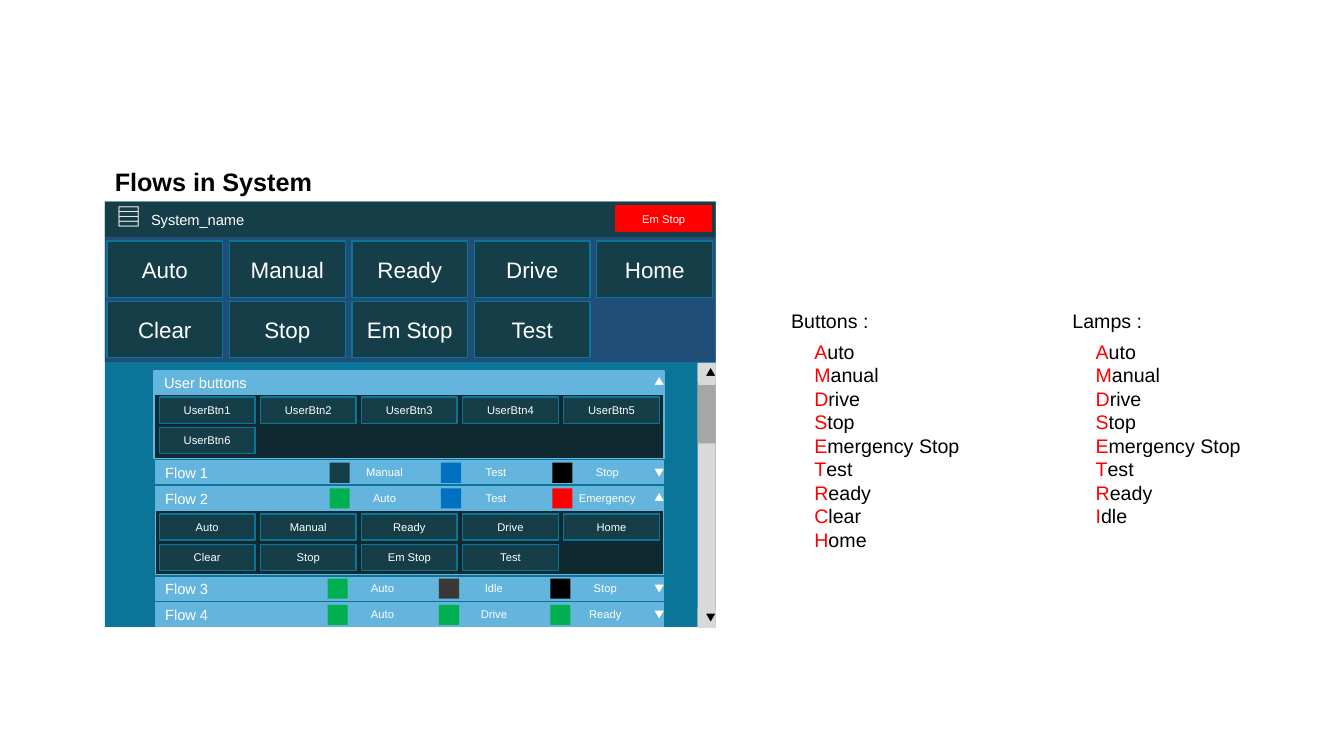
"""Build the slide that shows the flows of a system on an operator panel."""
import dataclasses
import typing

import lxml.etree
import pptx
import pptx.dml.color
import pptx.enum.shapes
import pptx.enum.text
import pptx.oxml.ns
import pptx.util

CELL = pptx.util.Inches(0.1)
COLS, ROWS = 133.33, 75
ALIGN = pptx.enum.text.PP_ALIGN
ANCHOR = pptx.enum.text.MSO_ANCHOR


@dataclasses.dataclass(frozen=True)
class Theme:
    """Colours, fonts and type sizes of the slide."""
    ink: str = "000000"
    white: str = "FFFFFF"
    red: str = "FF0000"
    green: str = "00B050"
    blue: str = "0070C0"
    grey: str = "3B3838"
    teal: str = "0B7499"
    button: str = "163E48"
    band: str = "1F4E79"
    header: str = "63B5DD"
    tray: str = "0E2A30"
    track: str = "D9D9D9"
    thumb: str = "A6A6A6"
    font: str = "Arial"
    symbols: str = "Noto Sans CJK KR"
    title: float = 18
    large: float = 16
    body: float = 14
    row: float = 10.5
    small: float = 8
    arrow: float = 7


T = Theme()


class Box(typing.NamedTuple):
    """A place on the grid, in columns and rows."""
    col: float
    row: float
    wide: float
    high: float

    def emu(self) -> list[int]:
        """Return the place in slide units."""
        return [round(v * CELL) for v in self]


class Style(typing.NamedTuple):
    """The look of a text."""
    size: float
    color: str = T.white
    font: str = T.font
    bold: bool = False
    align: typing.Any = ALIGN.CENTER


@dataclasses.dataclass(frozen=True)
class ButtonGrid:
    """Buttons in rows of five."""
    first: Box
    col_step: float
    row_step: float
    size: float
    names: list[str]


@dataclasses.dataclass(frozen=True)
class Flow:
    """A flow row with its lamps, each a name and a colour."""
    name: str
    row: float
    status_row: float
    lamp_col: float
    arrow: str
    lamps: list[tuple[str, str]]


BUTTON, ROW = Style(T.small), Style(T.row, align=ALIGN.LEFT)
BODY = Style(T.body, T.ink, align=ALIGN.LEFT)
TITLE = Style(T.title, T.ink, bold=True, align=ALIGN.LEFT)
ARROW = Style(T.arrow, font=T.symbols)
COMMANDS = ["Auto", "Manual", "Ready", "Drive", "Home", "Clear", "Stop", "Em Stop", "Test"]

MAIN_GRID = ButtonGrid(Box(10.6, 23.9, 11.5, 5.6), 12.15, 6, T.large, COMMANDS)
USER_GRID = ButtonGrid(Box(15.8, 39.4, 9.5, 2.6), 10.03, 3, T.small,
                       [f"UserBtn{n}" for n in range(1, 7)])
FLOW_GRID = ButtonGrid(Box(15.8, 51, 9.5, 2.6), 10.03, 3, T.small, COMMANDS)

FLOWS = [
    Flow("Flow 1", 45.7, 45.7, 32.7, "▼",
         [("Manual", T.button), ("Test", T.blue), ("Stop", T.ink)]),
    Flow("Flow 2", 48.3, 48.25, 32.7, "▲",
         [("Auto", T.green), ("Test", T.blue), ("Emergency", T.red)]),
    Flow("Flow 3", 57.3, 57.2, 32.5, "▼",
         [("Auto", T.green), ("Idle", T.grey), ("Stop", T.ink)]),
    Flow("Flow 4", 59.8, 59.8, 32.5, "▼",
         [("Auto", T.green), ("Drive", T.green), ("Ready", T.green)]),
]

SHARED = ["Auto", "Manual", "Drive", "Stop", "Emergency Stop", "Test", "Ready"]
LEGENDS = [
    (77.5, "Buttons :", Box(79.8, 33.2, 17, 22.2), SHARED + ["Clear", "Home"]),
    (105.4, "Lamps :", Box(107.7, 33.2, 16.5, 19.9), SHARED + ["Idle"]),
]


def rgb(color: str) -> pptx.dml.color.RGBColor:
    """Turn a hex string into a colour."""
    return pptx.dml.color.RGBColor.from_string(color)


def add_run(p: typing.Any, text: str, style: Style) -> None:
    """Add a formatted run to a paragraph."""
    r = p.add_run()
    r.text = text
    fmt = {"name": style.font, "size": pptx.util.Pt(style.size), "bold": style.bold}
    for key, value in fmt.items():
        setattr(r.font, key, value)
    r.font.color.rgb = rgb(style.color)
    ea = lxml.etree.SubElement(r.font._element, pptx.oxml.ns.qn("a:ea"))
    ea.set("typeface", style.font)


def set_frame(sp: typing.Any, anchor: typing.Any, wrap: bool, align: typing.Any) -> typing.Any:
    """Format the text frame and return it."""
    tf = sp.text_frame
    for key, value in {"word_wrap": wrap, "vertical_anchor": anchor}.items():
        setattr(tf, key, value)
    tf.paragraphs[0].alignment = align
    return tf


def add_rect(shapes: typing.Any, box: Box, fill: str, line: str = "",
             text: str = "", style: Style = BUTTON) -> None:
    """Draw a rectangle with an optional line and text."""
    sp = shapes.add_shape(pptx.enum.shapes.MSO_SHAPE.RECTANGLE, *box.emu())
    sp.shadow.inherit = False
    sp.fill.solid()
    sp.fill.fore_color.rgb = rgb(fill)
    if line:
        sp.line.color.rgb = rgb(line)
        sp.line.width = pptx.util.Pt(1)
    else:
        sp.line.fill.background()
    if text:
        tf = set_frame(sp, ANCHOR.MIDDLE, True, style.align)
        add_run(tf.paragraphs[0], text, style)


def add_text(shapes: typing.Any, box: Box, text: str, style: Style,
             anchor: typing.Any = ANCHOR.TOP, wrap: bool = True) -> None:
    """Draw a one-line text box."""
    tf = set_frame(shapes.add_textbox(*box.emu()), anchor, wrap, style.align)
    add_run(tf.paragraphs[0], text, style)


def add_buttons(shapes: typing.Any, grid: ButtonGrid) -> None:
    """Draw a group of buttons in rows of five."""
    group = shapes.add_group_shape().shapes
    for i, name in enumerate(grid.names):
        box = grid.first._replace(col=grid.first.col + i % 5 * grid.col_step,
                                  row=grid.first.row + i // 5 * grid.row_step)
        add_rect(group, box, T.button, T.teal, name, Style(grid.size))


def add_flow(shapes: typing.Any, flow: Flow) -> None:
    """Draw a flow row with its lamps and its arrow."""
    add_rect(shapes, Box(15.4, flow.row, 50.4, 2.3), T.header, T.header, flow.name, ROW)
    for i, (name, color) in enumerate(flow.lamps):
        col = flow.lamp_col + i * 11.05
        group = shapes.add_group_shape().shapes
        add_rect(group, Box(col, flow.status_row + 0.2, 2, 2), color)
        add_text(group, Box(col + 1.5, flow.status_row, 7.9, 2.4), name, BUTTON)
    add_text(shapes, Box(64.1, flow.status_row + 0.2, 1.8, 1.9), flow.arrow, ARROW, ANCHOR.MIDDLE)


def add_panel(shapes: typing.Any) -> None:
    """Draw the operator panel."""
    add_rect(shapes, Box(10.4, 20, 60.6, 42.2), T.teal)
    add_rect(shapes, Box(10.4, 20, 60.6, 3.5), T.button)
    add_rect(shapes, Box(14, 20.1, 12.4, 3.3), T.button, "", "System_name", ROW)
    add_text(shapes, Box(10.6, 20.1, 3.1, 2.8), "▤", Style(T.title, font=T.symbols), ANCHOR.MIDDLE)
    add_rect(shapes, Box(61.1, 20.4, 9.5, 2.6), T.red, T.red, "Em Stop")
    add_rect(shapes, Box(10.4, 23.5, 60.6, 12.4), T.band)
    add_rect(shapes, Box(15.3, 36.8, 50.6, 2.3), T.header, T.header, "User buttons", ROW)
    add_text(shapes, Box(64.1, 36.9, 1.8, 1.9), "▲", ARROW, ANCHOR.MIDDLE)
    add_rect(shapes, Box(15.3, 39.1, 50.6, 6.4), T.tray, T.header)
    add_rect(shapes, Box(15.4, 50.6, 50.4, 6.4), T.tray, T.header)
    for flow in FLOWS:
        add_flow(shapes, flow)
    for grid in (MAIN_GRID, USER_GRID, FLOW_GRID):
        add_buttons(shapes, grid)
    add_rect(shapes, Box(69.2, 36, 1.8, 26.3), T.track)
    add_rect(shapes, Box(69.2, 38.2, 1.8, 5.8), T.thumb)
    for row, arrow in ((36, "▲"), (60.3, "▼")):
        add_rect(shapes, Box(69.2, row, 1.8, 1.9), T.track, "", arrow, ARROW._replace(color=T.ink))


def add_legend(shapes: typing.Any, col: float, heading: str, box: Box, names: list[str]) -> None:
    """Draw a heading and its names with red initials."""
    add_text(shapes, Box(col, 30.2, 10, 3.4), heading, BODY, wrap=False)
    tf = set_frame(shapes.add_textbox(*box.emu()), ANCHOR.TOP, False, BODY.align)
    for i, name in enumerate(names):
        p = tf.add_paragraph() if i else tf.paragraphs[0]
        add_run(p, name[0], BODY._replace(color=T.red))
        add_run(p, name[1:], BODY)


def main() -> None:
    """Build and save the slide."""
    prs = pptx.Presentation()
    prs.slide_width, prs.slide_height = round(COLS * CELL), ROWS * CELL
    s = prs.slides.add_slide(prs.slide_layouts[6])
    add_panel(s.shapes)
    add_text(s.shapes, Box(10.4, 16, 33.1, 4), "Flows in System", TITLE)
    for legend in LEGENDS:
        add_legend(s.shapes, *legend)
    prs.save("out.pptx")


if __name__ == "__main__":
    main()
